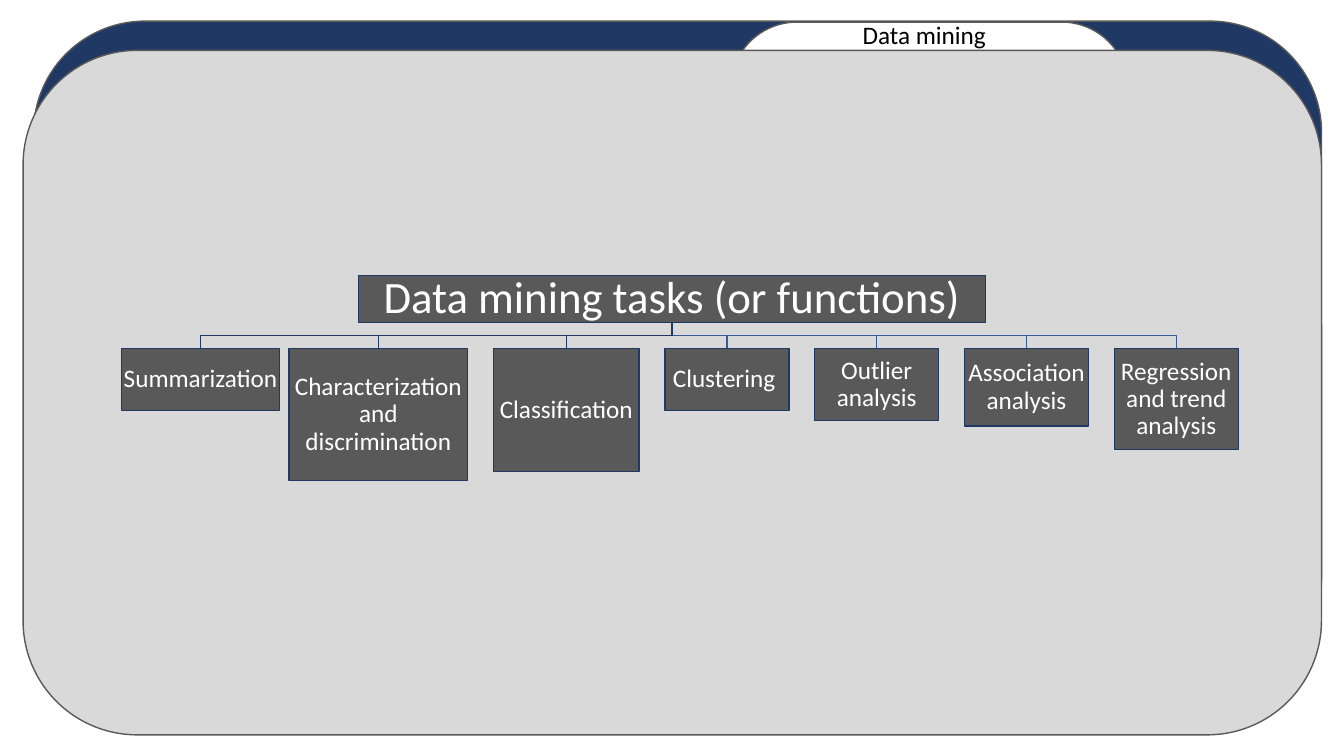
from pptx import Presentation
from pptx.dml.color import RGBColor
from pptx.enum.shapes import MSO_SHAPE as Shape
from pptx.enum.text import MSO_ANCHOR as Anchor, PP_ALIGN as Align
from pptx.util import Pt

NAVY, BLUE, GRAY = "203864", "365B9D", "595959"
PALE, WHITE, BLACK = "D9D9D9", "FFFFFF", "000000"
MID, TOP, BUS, ROW = 480, 230.5, 239.8, 249.1

# name, width, height, gap before, line colour
TASKS = [
    ("Summarization", 112.5, 44.2, 0, NAVY),
    ("Characterization and discrimination", 127.5, 94.3, 7, NAVY),
    ("Classification", 104, 87.6, 18.5, NAVY),
    ("Clustering ", 88.5, 44.2, 18.5, BLUE),
    ("Outlier analysis", 88.5, 51.2, 18.5, BLUE),
    ("Association analysis", 88.5, 55.2, 18.5, BLUE),
    ("Regression and trend analysis", 88.5, 72, 18.5, BLUE),
]


def color(code):
    return RGBColor.from_string(code)


def write(shape, text, size=18, ink=WHITE, align=Align.CENTER,
          anchor=Anchor.MIDDLE, inset=0.9, space=0.9):
    frame = shape.text_frame
    frame.word_wrap = True
    frame.vertical_anchor = anchor
    frame.margin_left = frame.margin_right = Pt(inset)
    frame.margin_top = frame.margin_bottom = Pt(min(inset, 3.6))
    para = frame.paragraphs[0]
    para.alignment = align
    para.line_spacing = space
    run = para.add_run()
    run.text = text
    run.font.name = "Calibri"
    run.font.size = Pt(size)
    run.font.color.rgb = color(ink)


def outline(shape, code):
    shape.shadow.inherit = False
    shape.line.color.rgb = color(code)
    shape.line.width = Pt(1)


def box(slide, kind, left, top, width, height, fill, line):
    shape = slide.shapes.add_shape(kind, Pt(left), Pt(top), Pt(width), Pt(height))
    shape.fill.solid()
    shape.fill.fore_color.rgb = color(fill)
    outline(shape, line)
    return shape


def branch(slide, end, code):
    """Draw a bent line from the root box down to a task centred at end."""
    pen = slide.shapes.build_freeform(Pt(MID), Pt(TOP))
    bends = [(MID, BUS), (end, BUS), (end, ROW)]
    pen.add_line_segments([(Pt(x), Pt(y)) for x, y in bends], close=False)
    shape = pen.convert_to_shape()
    shape.fill.background()
    outline(shape, code)


def frame(slide):
    for area, fill in [
        ((24, 15.1, 920, 477.4), NAVY),
        ((522, 15.8, 283.7, 508.3), WHITE),
        ((16.5, 36, 927.4, 488.9), PALE),
    ]:
        box(slide, Shape.ROUNDED_RECTANGLE, *area, fill, GRAY)
    label = slide.shapes.add_textbox(Pt(609.1), Pt(10.1), Pt(108.7), Pt(28.8))
    write(label, "Data mining", ink=BLACK, align=Align.LEFT,
          anchor=Anchor.TOP, inset=7.2, space=1.0)


def tree(slide):
    spots, left = [], 87
    for name, width, height, gap, code in TASKS:
        left += gap
        spots.append((name, left, width, height, code))
        left += width
    for name, left, width, height, code in reversed(spots):
        branch(slide, left + width / 2, code)
    root = box(slide, Shape.RECTANGLE, 255.9, 196.6, 448.2, TOP - 196.6, GRAY, NAVY)
    write(root, "Data mining tasks (or functions)", size=32, inset=1.6)
    for name, left, width, height, code in spots:
        task = box(slide, Shape.RECTANGLE, left, ROW, width, height, GRAY, NAVY)
        write(task, name)


def main():
    deck = Presentation()
    deck.slide_width, deck.slide_height = Pt(960), Pt(540)
    slide = deck.slides.add_slide(deck.slide_layouts[6])
    frame(slide)
    tree(slide)
    deck.save("out.pptx")


if __name__ == "__main__":
    main()
